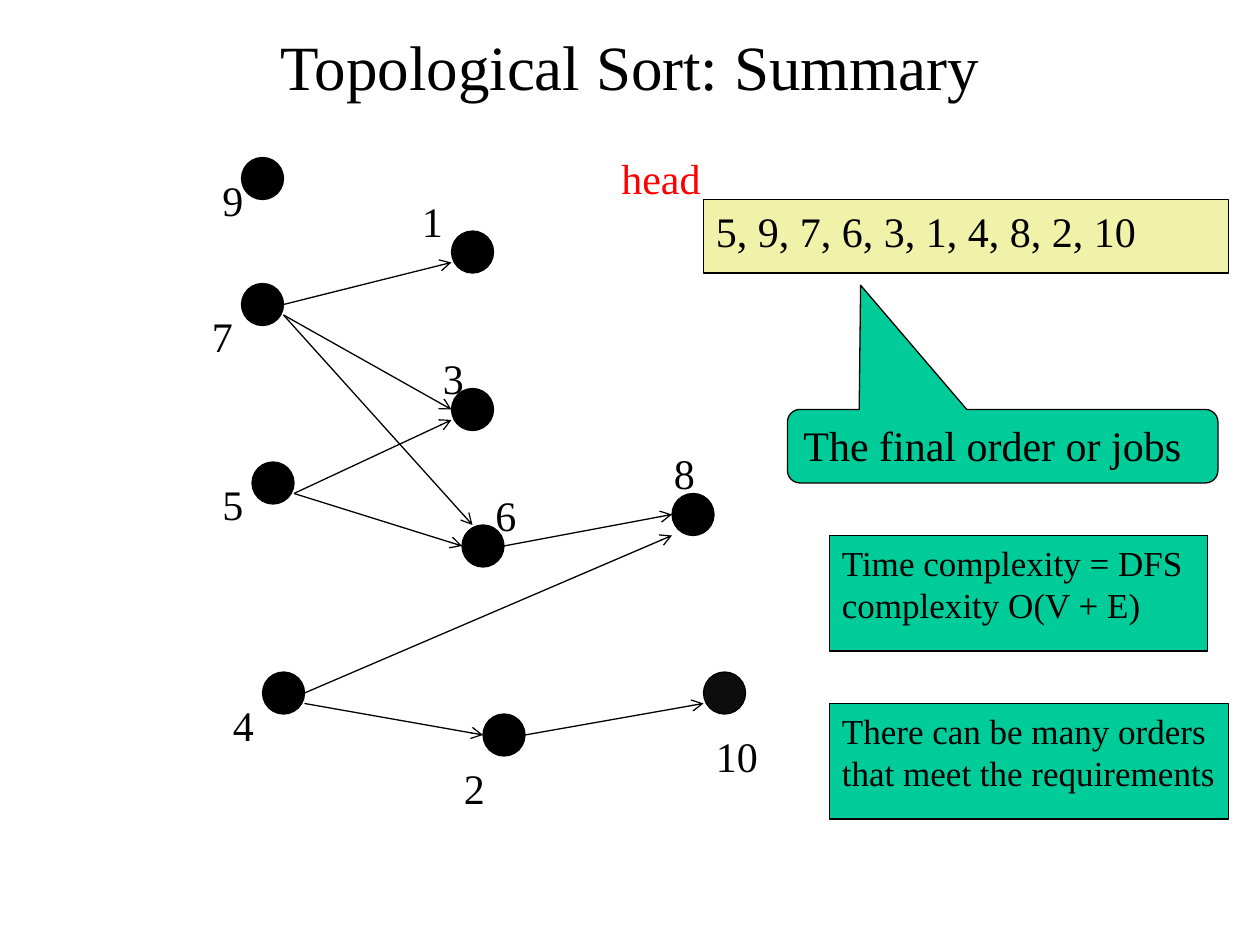
from lxml.etree import SubElement
from pptx import Presentation
from pptx.dml.color import RGBColor
from pptx.enum.shapes import MSO_CONNECTOR, MSO_SHAPE
from pptx.enum.text import MSO_ANCHOR, MSO_AUTO_SIZE, PP_ALIGN
from pptx.oxml.ns import qn
from pptx.util import Pt

BLACK = RGBColor(0x00, 0x00, 0x00)
NEAR_BLACK = RGBColor(0x0D, 0x0D, 0x0D)
RED = RGBColor(0xFF, 0x00, 0x00)
YELLOW = RGBColor(0xF1, 0xF2, 0xA9)
GREEN = RGBColor(0x00, 0xCC, 0x99)
NODE_SIZE = 24

presentation = Presentation()
presentation.slide_width = Pt(720)
presentation.slide_height = Pt(540)
slide = presentation.slides.add_slide(presentation.slide_layouts[6])


def write_text(shape, text, size, color=BLACK, align=PP_ALIGN.LEFT, wrap=True):
    frame = shape.text_frame
    frame.word_wrap = wrap
    frame.vertical_anchor = MSO_ANCHOR.TOP
    frame.text = text
    paragraph = frame.paragraphs[0]
    paragraph.alignment = align
    paragraph.font.name = "Times New Roman"
    paragraph.font.size = Pt(size)
    paragraph.font.color.rgb = color


def add_filled_shape(kind, left, top, width, height, fill):
    shape = slide.shapes.add_shape(kind, Pt(left), Pt(top), Pt(width), Pt(height))
    shape.shadow.inherit = False
    shape.fill.solid()
    shape.fill.fore_color.rgb = fill
    shape.line.color.rgb = BLACK
    shape.line.width = Pt(0.75)
    return shape


nodes = {
    "7": (138, 162),
    "5": (144, 264),
    "4": (150, 384),
    "9": (138, 90),
    "8": (384, 282),
    "6": (264, 300),
    "10": (402, 384),
    "2": (276, 408),
    "1": (258, 132),
    "3": (258, 222),
}
for name, (left, top) in nodes.items():
    fill = NEAR_BLACK if name == "10" else BLACK
    add_filled_shape(MSO_SHAPE.OVAL, left, top, NODE_SIZE, NODE_SIZE, fill)

edges = [
    (162, 174, 258, 150),
    (162, 180, 258, 234),
    (162, 180, 270, 300),
    (168, 282, 258, 240),
    (168, 282, 264, 312),
    (288, 312, 384, 294),
    (174, 396, 384, 306),
    (174, 402, 276, 420),
    (300, 420, 402, 402),
]
for edge in edges:
    connector = slide.shapes.add_connector(MSO_CONNECTOR.STRAIGHT, *map(Pt, edge))
    connector.line.color.rgb = BLACK
    connector.line.width = Pt(0.75)
    SubElement(connector.line._get_or_add_ln(), qn("a:tailEnd"), type="arrow")
    SubElement(connector._element.spPr, qn("a:effectLst"))

labels = [
    ("9", 120, 96, 24),
    ("1", 234, 108, 30),
    ("7", 114, 174, 24),
    ("3", 246, 198, 30),
    ("5", 120, 270, 30),
    ("4", 126, 396, 24),
    ("6", 276, 276, 24),
    ("8", 378, 252, 36),
    ("2", 258, 432, 36),
    ("10", 402, 414, 48),
]
for name, left, top, width in labels:
    label = slide.shapes.add_textbox(Pt(left), Pt(top), Pt(width), Pt(36))
    write_text(label, name, 24)

title = slide.shapes.add_textbox(Pt(24), Pt(12), Pt(672), Pt(51))
write_text(title, "Topological Sort: Summary", 36, align=PP_ALIGN.CENTER)

order_box = add_filled_shape(MSO_SHAPE.RECTANGLE, 402, 114, 300, 42, YELLOW)
write_text(order_box, "5, 9, 7, 6, 3, 1, 4, 8, 2, 10", 24)

head = slide.shapes.add_textbox(Pt(348), Pt(83.5), Pt(60.5), Pt(36.5))
write_text(head, "head", 24, RED, wrap=False)
head.text_frame.auto_size = MSO_AUTO_SIZE.SHAPE_TO_FIT_TEXT

callout = add_filled_shape(MSO_SHAPE.ROUNDED_RECTANGULAR_CALLOUT, 450, 234, 246, 42, GREEN)
for index, value in enumerate((-0.33, -2.19, 0.17)):
    callout.adjustments[index] = value
write_text(callout, "The final order or jobs", 24)

notes = [
    ("Time complexity = DFS complexity O(V + E)", 306, 216),
    ("There can be many orders that meet the requirements", 402, 228),
]
for text, top, width in notes:
    note = add_filled_shape(MSO_SHAPE.RECTANGLE, 474, top, width, 66, GREEN)
    write_text(note, text, 20)

presentation.save("out.pptx")
